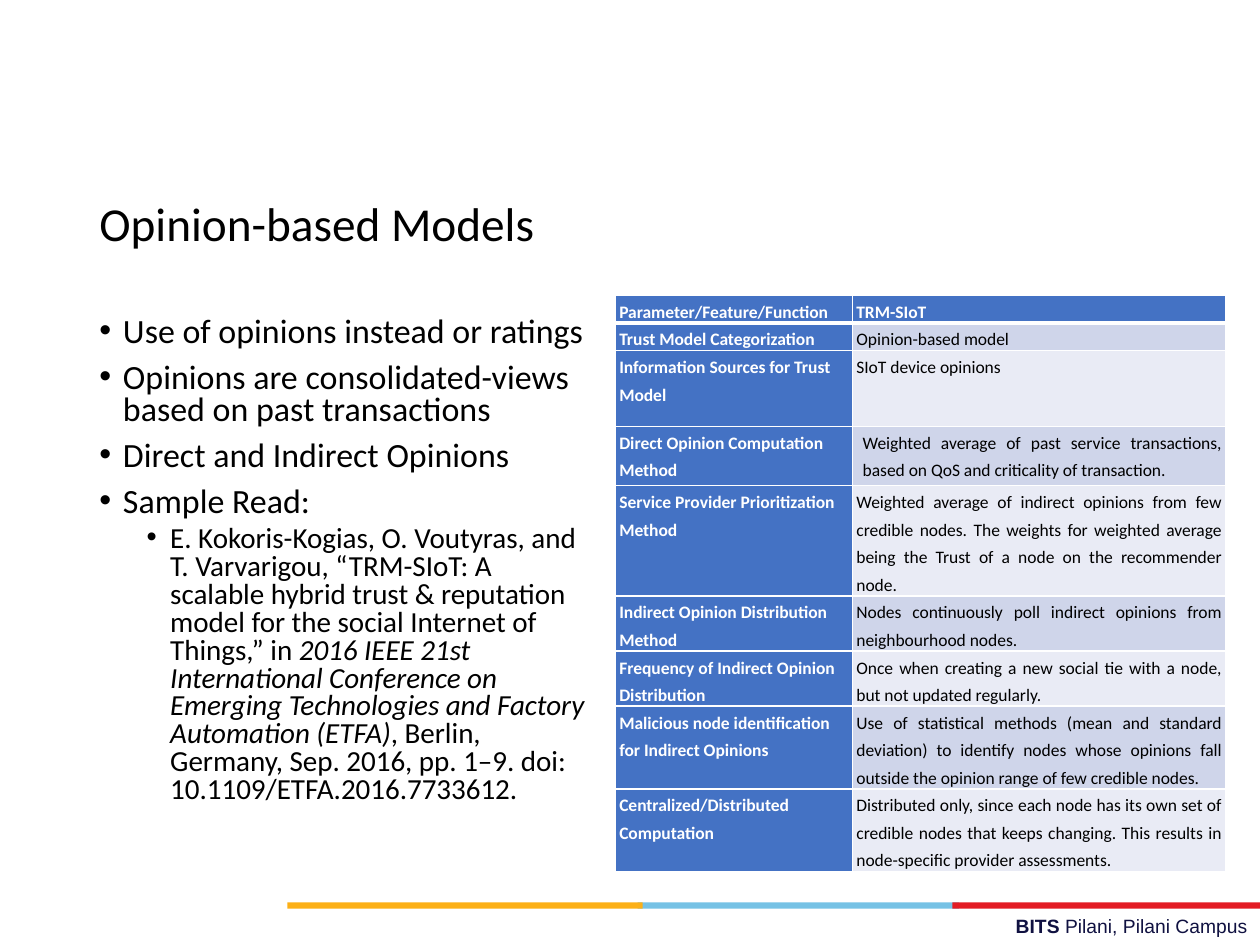
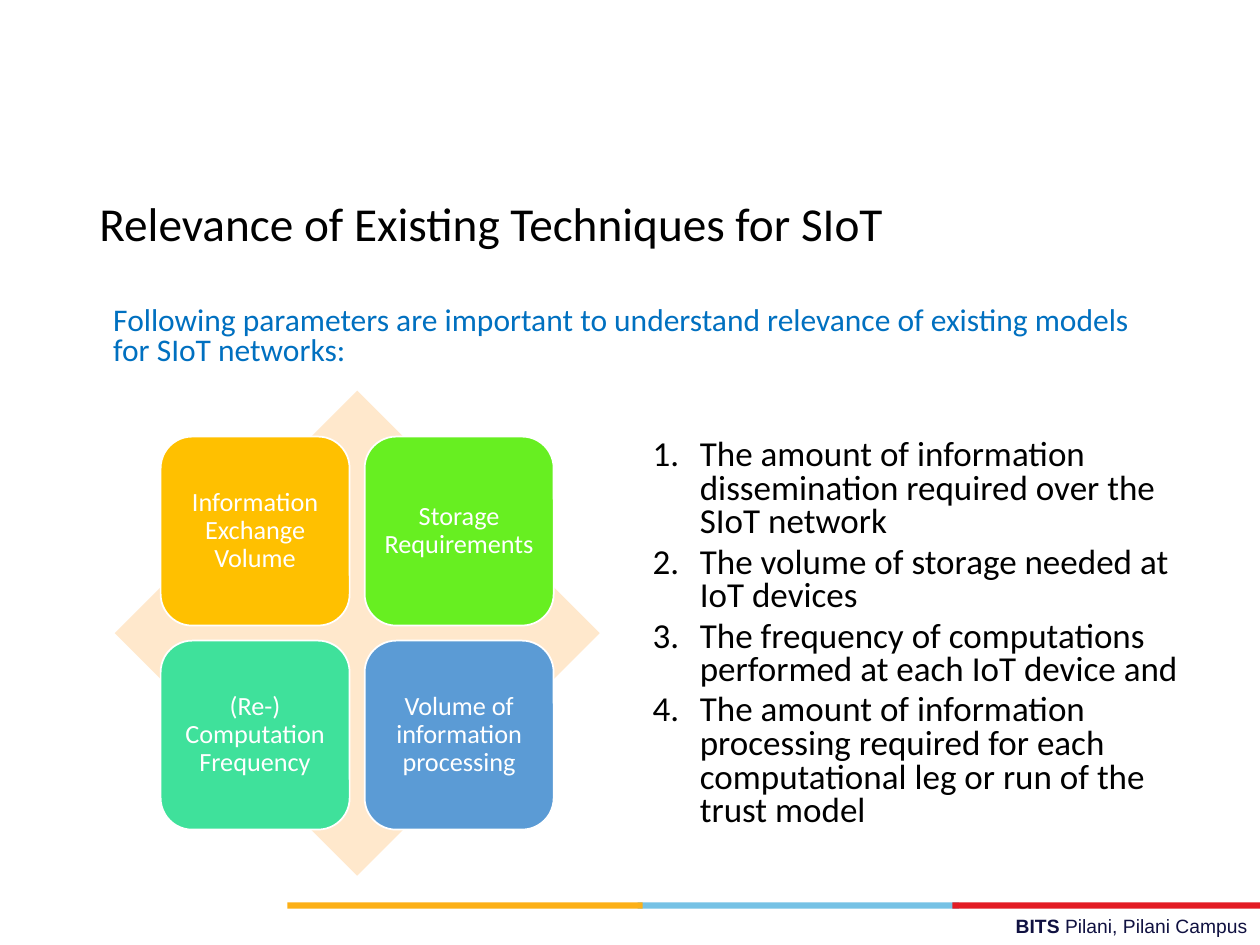
from dataclasses import dataclass

from lxml import etree
from pptx import Presentation
from pptx.dml.color import RGBColor
from pptx.enum.shapes import MSO_SHAPE
from pptx.enum.text import MSO_ANCHOR, PP_ALIGN
from pptx.oxml.ns import qn
from pptx.util import Pt

RECTANGLE = MSO_SHAPE.RECTANGLE
DIAMOND = MSO_SHAPE.DIAMOND
ROUNDED = MSO_SHAPE.ROUNDED_RECTANGLE
LEFT, CENTER = PP_ALIGN.LEFT, PP_ALIGN.CENTER
RIGHT, JUSTIFY = PP_ALIGN.RIGHT, PP_ALIGN.JUSTIFY
TOP, MIDDLE = MSO_ANCHOR.TOP, MSO_ANCHOR.MIDDLE


@dataclass(frozen=True)
class Theme:
    font: str = "Calibri"
    footer_font: str = "Arial"
    black: str = "000000"
    white: str = "FFFFFF"
    navy: str = "101141"
    yellow: str = "FCB017"
    sky: str = "76C2E5"
    red: str = "E31C24"
    intro: str = "0070C0"
    header: str = "4472C4"
    odd_row: str = "CFD5EA"
    even_row: str = "E9EBF5"
    diamond: str = "FFE8CC"
    title_size: float = 27
    bullet_size: float = 19.4
    reference_size: float = 16.6
    intro_size: float = 18
    number_size: float = 20
    tile_size: float = 15
    table_size: float = 10
    footer_size: float = 11


THEME = Theme()

TITLE_BOX = (49.7, 90, 620.6, 78.5)
FOOTER_BOX = (257.8, 519.1, 462.2, 20.9)
BANDS = (
    (364.3, 183.6, THEME.sky),
    (544.3, 175.7, THEME.red),
    (164.2, 203, THEME.yellow),
)

OPINION_POINTS = (
    "Use of opinions instead or ratings",
    "Opinions are consolidated-views based on past transactions",
    "Direct and Indirect Opinions",
    "Sample Read:",
)
REFERENCE = (
    ("E. Kokoris-Kogias, O. Voutyras, and T. Varvarigou, “TRM-SIoT: A scalable hybrid "
     "trust & reputation model for the social Internet of Things,” in ", False),
    ("2016 IEEE 21st International Conference on Emerging Technologies and Factory "
     "Automation (ETFA)", True),
    (", Berlin, Germany, Sep. 2016, pp. 1–9. doi: 10.1109/ETFA.2016.7733612.", False),
)
MODEL_ROWS = (
    (15.8, "Parameter/Feature/Function", "TRM-SIoT"),
    (15.8, "Trust Model Categorization", "Opinion-based model"),
    (43.2, "Information Sources for Trust Model", "SIoT device opinions"),
    (34, "Direct Opinion Computation Method",
     "Weighted average of past service transactions, based on QoS and criticality of "
     "transaction."),
    (63, "Service Provider Prioritization Method",
     "Weighted average of indirect opinions from few credible nodes. The weights for "
     "weighted average being the Trust of a node on the recommender node."),
    (31.5, "Indirect Opinion Distribution Method",
     "Nodes continuously poll indirect opinions from neighbourhood nodes."),
    (31.5, "Frequency of Indirect Opinion Distribution",
     "Once when creating a new social tie with a node, but not updated regularly."),
    (47.2, "Malicious node identification for Indirect Opinions",
     "Use of statistical methods (mean and standard deviation) to identify nodes whose "
     "opinions fall outside the opinion range of few credible nodes."),
    (47.2, "Centralized/Distributed Computation",
     "Distributed only, since each node has its own set of credible nodes that keeps "
     "changing. This results in node-specific provider assessments."),
)
INDENTED_ROW = 3

INTRO = ("Following parameters are important to understand relevance of existing models "
         "for SIoT networks:")
TILES = (
    ("Information Exchange Volume", "FFC000"),
    ("Storage Requirements", "67EF21"),
    ("(Re-) Computation Frequency", "3FE19B"),
    ("Volume of information processing", "5B9BD5"),
)
PARAMETERS = (
    "The amount of information dissemination required over the SIoT network",
    "The volume of storage needed at IoT devices",
    "The frequency of computations performed at each IoT device and",
    "The amount of information processing required for each computational leg or run of "
    "the trust model",
)


def points(box):
    return [Pt(length) for length in box]


def set_insets(target, across, down):
    target.margin_left = target.margin_right = Pt(across)
    target.margin_top = target.margin_bottom = Pt(down)


def add_span(para, text, size, color=THEME.black, bold=False, italic=False, font=THEME.font):
    span = para.add_run()
    span.text = text
    span.font.name = font
    span.font.size = Pt(size)
    span.font.bold = bold
    span.font.italic = italic
    span.font.color.rgb = RGBColor.from_string(color)


def format_para(para, align=LEFT, spacing=1.0, before=0):
    para.alignment = align
    para.line_spacing = spacing
    para.space_before = Pt(before)


def indent_para(para, left, hanging=0):
    properties = para._p.get_or_add_pPr()
    properties.set("marL", str(Pt(left)))
    properties.set("indent", str(Pt(-hanging)))
    return properties


def add_bullet(para, left, hanging):
    properties = indent_para(para, left, hanging)
    etree.SubElement(properties, qn("a:buFont")).set("typeface", "Arial")
    etree.SubElement(properties, qn("a:buChar")).set("char", "•")


def add_number(para, left, hanging):
    properties = indent_para(para, left, hanging)
    etree.SubElement(properties, qn("a:buAutoNum")).set("type", "arabicPeriod")


def next_para(frame, index):
    return frame.add_paragraph() if index else frame.paragraphs[0]


def add_frame(page, box, anchor=TOP):
    frame = page.shapes.add_textbox(*points(box)).text_frame
    frame.word_wrap = True
    frame.vertical_anchor = anchor
    return frame


def add_block(page, kind, box, fill, line=None):
    shape = page.shapes.add_shape(kind, *points(box))
    shape.shadow.inherit = False
    shape.fill.solid()
    shape.fill.fore_color.rgb = RGBColor.from_string(fill)
    if line:
        shape.line.color.rgb = RGBColor.from_string(line)
        shape.line.width = Pt(1)
    else:
        shape.line.fill.background()
    return shape


def add_footer(page):
    para = add_frame(page, FOOTER_BOX).paragraphs[0]
    format_para(para, RIGHT)
    for text, bold in (("BITS ", True), ("Pilani, Pilani Campus", False)):
        add_span(para, text, THEME.footer_size, THEME.navy, bold, font=THEME.footer_font)
    for left, width, color in BANDS:
        add_block(page, RECTANGLE, (left, 515.7, width, 3.6), color)


def add_page(deck, title):
    page = deck.slides.add_slide(deck.slide_layouts[6])
    add_footer(page)
    para = add_frame(page, TITLE_BOX, MIDDLE).paragraphs[0]
    format_para(para, spacing=0.9)
    add_span(para, title, THEME.title_size)
    return page


def border_cell(cell, bottom):
    properties = cell._tc.get_or_add_tcPr()
    for side, width in (("L", 1), ("R", 1), ("T", 1), ("B", bottom)):
        line = etree.SubElement(properties, qn(f"a:ln{side}"), w=str(Pt(width)))
        fill = etree.SubElement(line, qn("a:solidFill"))
        etree.SubElement(fill, qn("a:srgbClr"), val=THEME.white)


def fill_cell(cell, text, row, column):
    strong = row == 0 or column == 0
    banded = THEME.odd_row if row % 2 else THEME.even_row
    set_insets(cell, 2.2, 0)
    border_cell(cell, 1 if row else 3)
    cell.fill.solid()
    cell.fill.fore_color.rgb = RGBColor.from_string(THEME.header if strong else banded)
    para = cell.text_frame.paragraphs[0]
    format_para(para, LEFT if row and not column else JUSTIFY, 1.3)
    if (row, column) == (INDENTED_ROW, 1):
        indent_para(para, 3.6)
    color = THEME.white if strong else THEME.black
    add_span(para, text, THEME.table_size, color, strong)


def add_model_table(page, left, top, widths):
    heights = [row[0] for row in MODEL_ROWS]
    box = (left, top, sum(widths), sum(heights))
    table = page.shapes.add_table(len(heights), len(widths), *points(box)).table
    for column, width in zip(table.columns, widths):
        column.width = Pt(width)
    for index, (height, *texts) in enumerate(MODEL_ROWS):
        table.rows[index].height = Pt(height)
        for column, text in enumerate(texts):
            fill_cell(table.cell(index, column), text, index, column)


def add_opinion_points(page, box):
    frame = add_frame(page, box)
    for index, text in enumerate(OPINION_POINTS):
        para = next_para(frame, index)
        format_para(para, spacing=0.8, before=7.5 if index else 0)
        add_bullet(para, 13.5, 13.5)
        add_span(para, text, THEME.bullet_size)
    para = frame.add_paragraph()
    format_para(para, spacing=0.8, before=3.8)
    add_bullet(para, 40.5, 13.5)
    for text, italic in REFERENCE:
        add_span(para, text, THEME.reference_size, italic=italic)


def add_intro(page, box):
    para = add_frame(page, box).paragraphs[0]
    format_para(para, spacing=0.8)
    add_span(para, INTRO, THEME.intro_size, THEME.intro)


def add_tile_matrix(page, left, top, size, tile=108, gap=8.6):
    add_block(page, DIAMOND, (left, top, size, size), THEME.diamond)
    margin = (size - 2 * tile - gap) / 2
    for index, (text, color) in enumerate(TILES):
        row, column = divmod(index, 2)
        tile_left = left + margin + column * (tile + gap)
        tile_top = top + margin + row * (tile + gap)
        shape = add_block(page, ROUNDED, (tile_left, tile_top, tile, tile), color, THEME.white)
        frame = shape.text_frame
        frame.word_wrap = True
        frame.vertical_anchor = MIDDLE
        set_insets(frame, 4.3, 4.3)
        format_para(frame.paragraphs[0], CENTER, 0.9)
        add_span(frame.paragraphs[0], text, THEME.tile_size, THEME.white)


def add_parameter_list(page, box):
    frame = add_frame(page, box)
    for index, text in enumerate(PARAMETERS):
        para = next_para(frame, index)
        format_para(para, spacing=0.8, before=3.8 if index else 0)
        add_number(para, 45, 27)
        add_span(para, text, THEME.number_size)


def build_opinion_page(deck):
    page = add_page(deck, "Opinion-based Models")
    add_model_table(page, 351.7, 168.8, (135.5, 213))
    add_opinion_points(page, (49.7, 177.8, 294.5, 308.2))


def build_relevance_page(deck):
    page = add_page(deck, "Relevance of Existing Techniques for SIoT")
    add_tile_matrix(page, 65.5, 223.2, 277.2)
    add_intro(page, (57.6, 172.1, 605.5, 42.5))
    add_parameter_list(page, (347.8, 247.7, 342, 252.7))


def main():
    deck = Presentation()
    deck.slide_width, deck.slide_height = Pt(720), Pt(540)
    build_opinion_page(deck)
    build_relevance_page(deck)
    deck.save("out.pptx")


if __name__ == "__main__":
    main()
